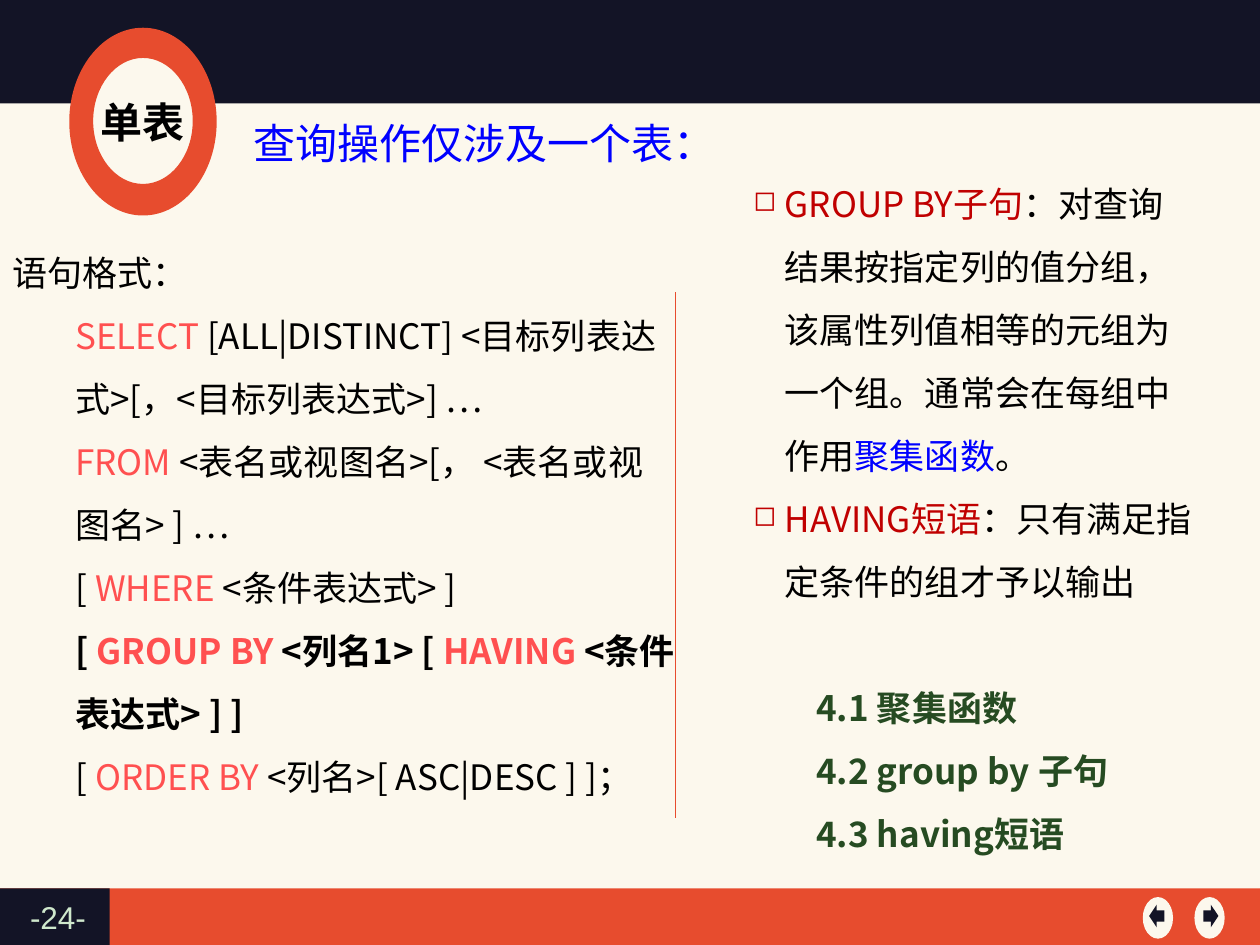
from dataclasses import dataclass

from lxml.etree import SubElement
from pptx import Presentation
from pptx.dml.color import RGBColor
from pptx.enum.shapes import MSO_CONNECTOR, MSO_SHAPE as Preset
from pptx.enum.text import MSO_ANCHOR, PP_ALIGN
from pptx.oxml.ns import qn
from pptx.util import Inches, Pt

COLORS = {
    "cream": "FCF8ED", "orange": "E74C2E", "navy": "131426", "mint": "CFE8CC",
    "black": "000000", "keyword": "FF5050", "crimson": "C00000",
    "blue": "0000FF", "green": "264B22",
}
CJK_FONT = "Noto Sans CJK SC"
ARC_HANDLE = 0.55


@dataclass
class Run:
    text: str
    color: str = "black"
    bold: bool = False


@dataclass
class Line:
    """One paragraph; margin and indent are in inches."""
    runs: list[Run]
    level: int = 0
    margin: float = 0
    indent: float = 0
    bullet: str = ""
    space_before: float = 0


@dataclass
class NavigationButton:
    left: float
    arrow_left: float
    arrow: Preset


def rgb(name: str) -> RGBColor:
    return RGBColor.from_string(COLORS[name])


def paint(shape, color: str):
    shape.shadow.inherit = False
    shape.fill.solid()
    shape.fill.fore_color.rgb = rgb(color)
    shape.line.fill.background()
    return shape


def add_preset(parent, preset, left, top, width, height, color: str):
    return paint(parent.shapes.add_shape(
        preset, Inches(left), Inches(top), Inches(width), Inches(height)), color)


def ellipse(left, top, width, height):
    """Return a start point and four curves of two handles and an end each."""
    radius_x, radius_y = width / 2, height / 2
    center_x, center_y = left + radius_x, top + radius_y
    corners = [(0, -1), (1, 0), (0, 1), (-1, 0), (0, -1)]

    def place(x, y):
        return center_x + x * radius_x, center_y + y * radius_y

    curves = []
    for (x1, y1), (x2, y2) in zip(corners, corners[1:]):
        curves.append((place(x1 + ARC_HANDLE * x2, y1 + ARC_HANDLE * y2),
                       place(x2 + ARC_HANDLE * x1, y2 + ARC_HANDLE * y1),
                       place(x2, y2)))
    return [(place(*corners[0]),), *curves]


def add_outline(slide, contours, color: str):
    """Draw closed contours in inches; a step of three points is a curve."""
    scaled = [[[(Inches(x), Inches(y)) for x, y in step] for step in contour]
              for contour in contours]
    builder = slide.shapes.build_freeform(*scaled[0][0][0])
    for index, contour in enumerate(scaled):
        if index:
            builder.move_to(*contour[0][0])
        builder.add_line_segments([step[-1] for step in contour[1:]], close=True)
    shape = builder.convert_to_shape()
    segments = list(shape._element.iter(qn("a:lnTo")))
    steps = [step for contour in scaled for step in contour[1:]]
    for segment, step in zip(segments, steps):
        if len(step) == 3:
            segment.tag = qn("a:cubicBezTo")
            for position, (x, y) in enumerate(step[:2]):
                point = SubElement(segment, qn("a:pt"))
                point.set("x", str(x - shape.left))
                point.set("y", str(y - shape.top))
                segment.insert(position, point)
    return paint(shape, color)


def add_bullet(paragraph, character: str, color: str):
    properties = paragraph._p.get_or_add_pPr()
    bullet_color = SubElement(properties, qn("a:buClr"))
    SubElement(bullet_color, qn("a:srgbClr")).set("val", COLORS[color])
    SubElement(properties, qn("a:buSzPct")).set("val", "80000")
    SubElement(properties, qn("a:buChar")).set("char", character)


def write_text(frame, lines: list[Line], *, size=20, font=CJK_FONT,
               spacing=1.0, align=PP_ALIGN.LEFT, anchor=MSO_ANCHOR.TOP):
    frame.word_wrap = True
    frame.vertical_anchor = anchor
    for index, line in enumerate(lines):
        paragraph = frame.paragraphs[0] if index == 0 else frame.add_paragraph()
        paragraph.alignment = align
        paragraph.level = line.level
        paragraph.line_spacing = spacing
        paragraph.space_before = Pt(line.space_before)
        properties = paragraph._p.get_or_add_pPr()
        properties.set("marL", str(Inches(line.margin)))
        properties.set("indent", str(Inches(line.indent)))
        if line.bullet:
            add_bullet(paragraph, line.bullet, line.runs[0].color)
        for part in line.runs:
            run = paragraph.add_run()
            run.text = part.text
            run.font.size = Pt(size)
            run.font.name = font
            run.font.bold = part.bold
            run.font.color.rgb = rgb(part.color)
            SubElement(run.font._element, qn("a:ea")).set("typeface", font)


def add_text(slide, left, top, width, height, lines: list[Line], **text_format):
    box = slide.shapes.add_textbox(
        Inches(left), Inches(top), Inches(width), Inches(height))
    write_text(box.text_frame, lines, **text_format)


def clause(*runs: Run) -> Line:
    return Line(list(runs), level=1, margin=0.5)


def definition(*runs: Run) -> Line:
    return Line(list(runs), level=1, margin=0.75, indent=-0.25, bullet="◻")


def keyword(text: str, bold=False) -> Run:
    return Run(text, "keyword", bold)


NAVIGATION = [
    NavigationButton(9.48, 9.55, Preset.RIGHT_ARROW),
    NavigationButton(9.07, 9.12, Preset.LEFT_ARROW),
]
SYNTAX = [
    Line([Run("语句格式：")]),
    clause(keyword("SELECT"),
           Run(" [ALL|DISTINCT] <目标列表达式>[，<目标列表达式>] …")),
    clause(keyword("FROM"), Run(" <表名或视图名>[， <表名或视图名> ] …")),
    clause(Run("[ "), keyword("WHERE"), Run(" <条件表达式> ]")),
    clause(Run("[ ", bold=True), keyword("GROUP BY", True),
           Run(" <列名1> [", bold=True), keyword(" HAVING", True),
           Run(" <条件表达式> ] ]", bold=True)),
    clause(Run("[ "), keyword("ORDER BY"), Run(" <列名>[ ASC|DESC ] ]；")),
]
TOPICS = ["4.1 聚集函数", "4.2 group by 子句", "4.3 having短语"]
EXPLANATION = [
    definition(
        Run("GROUP BY子句", "crimson"),
        Run("：对查询结果按指定列的值分组，该属性列值相等的元组为一个组。通常会在每组中作用"),
        Run("聚集函数", "blue"), Run("。")),
    definition(Run("HAVING短语", "crimson"), Run("：只有满足指定条件的组才予以输出")),
] + [
    Line([Run(topic, "green", True)], level=2, margin=1.25, indent=-0.25,
         space_before=0 if index else 36)
    for index, topic in enumerate(TOPICS)
]


def add_backdrop(slide):
    add_preset(slide, Preset.RECTANGLE, 0, 0, 10, 7.5, "cream")
    add_preset(slide, Preset.RECTANGLE, 0, 7.05, 10, 0.46, "orange")
    add_preset(slide, Preset.RECTANGLE, 0, 7.05, 0.87, 0.46, "navy")
    for button in NAVIGATION:
        group = slide.shapes.add_group_shape()
        add_preset(group, Preset.OVAL, button.left, 7.12, 0.24, 0.33, "cream")
        add_preset(group, button.arrow, button.arrow_left, 7.18, 0.12, 0.18, "navy")


def add_divider(slide):
    divider = slide.shapes.add_connector(
        MSO_CONNECTOR.STRAIGHT, Inches(5.36), Inches(2.32), Inches(5.36), Inches(6.49))
    divider.line.fill.solid()
    divider.line.fill.fore_color.rgb = rgb("orange")
    divider.line.width = Pt(0.5)
    SubElement(divider._element.spPr, qn("a:effectLst"))
    divider._element.remove(divider._element.find(qn("p:style")))


def add_header(slide):
    """Draw the notched top band and the ring that holds the section name."""
    band = [((0, -0.03),), ((10.01, -0.03),), ((10.01, 0.82),), ((1.56, 0.82),),
            ((1.56, 0.8),), ((1.52, 0.51), (1.33, 0.29), (1.1, 0.29)),
            ((0.87, 0.29), (0.68, 0.51), (0.64, 0.8)), ((0.63, 0.82),), ((0, 0.82),)]
    add_outline(slide, [band], "navy")
    ring = add_outline(slide, [ellipse(0.55, 0.22, 1.17, 1.49),
                               ellipse(0.74, 0.46, 0.79, 1)], "orange")
    write_text(ring.text_frame, [Line([Run("单表", bold=True)])], size=24,
               align=PP_ALIGN.CENTER, anchor=MSO_ANCHOR.MIDDLE)


def main():
    presentation = Presentation()
    presentation.slide_width, presentation.slide_height = Inches(10), Inches(7.5)
    slide = presentation.slides.add_slide(presentation.slide_layouts[6])
    slide.background.fill.solid()
    slide.background.fill.fore_color.rgb = rgb("mint")
    add_backdrop(slide)
    add_divider(slide)
    add_text(slide, 0, 1.78, 5.46, 5.1, SYNTAX, spacing=1.5)
    add_header(slide)
    add_text(slide, 0.14, 7.08, 0.76, 0.4, [Line([Run("-24-", "mint")])],
             size=18, font="Arial")
    add_text(slide, 5.38, 1.23, 4.22, 5.73, EXPLANATION, spacing=1.5)
    add_text(slide, 1.91, 0.88, 3.99, 0.5,
             [Line([Run("查询操作仅涉及一个表：", "blue")])], size=24)
    presentation.save("out.pptx")


if __name__ == "__main__":
    main()
